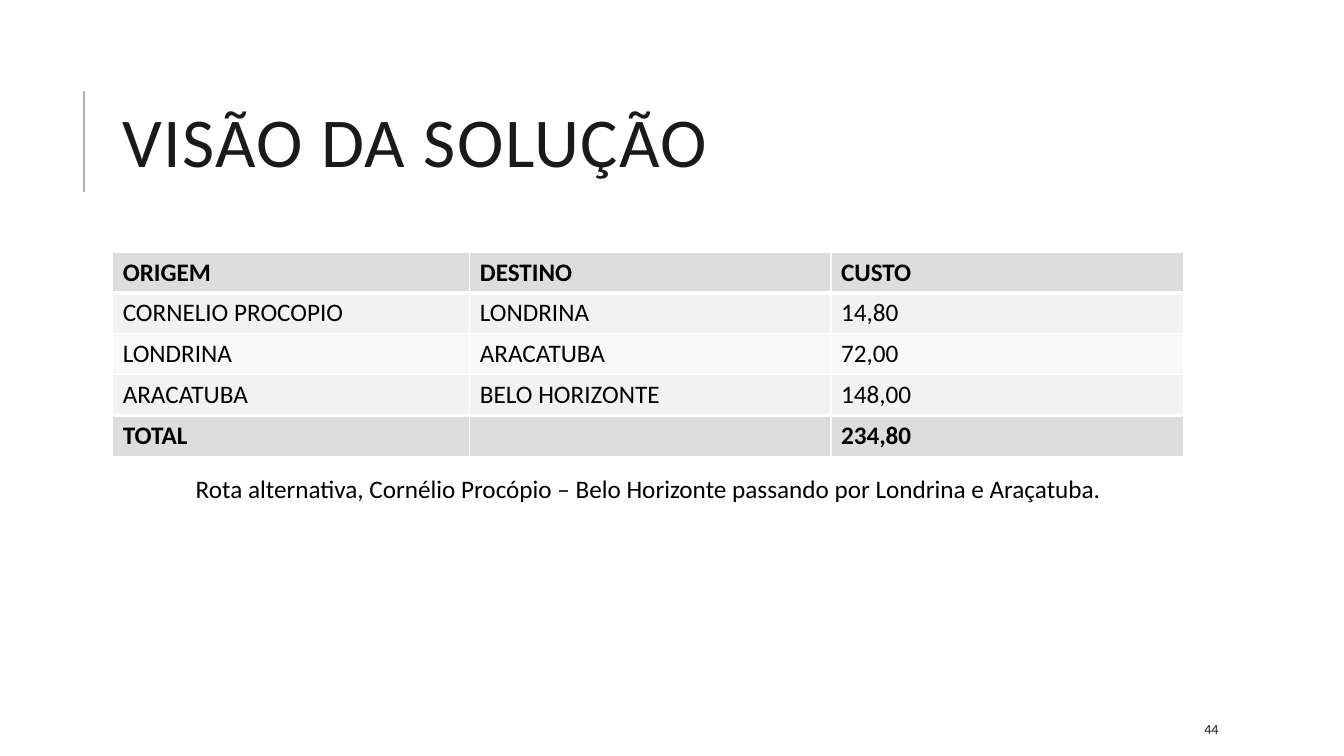
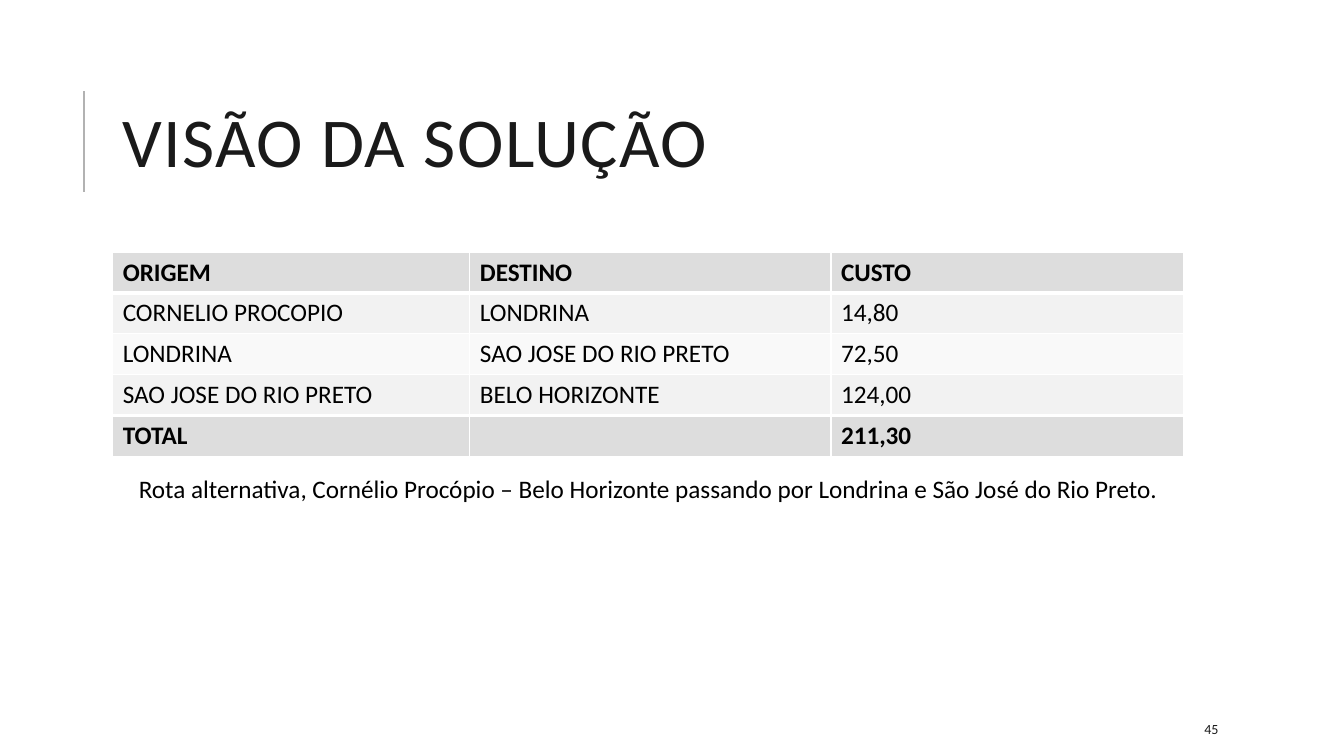
import pptx
import pptx.dml.color
import pptx.enum.shapes
import pptx.enum.text
import pptx.oxml
import pptx.oxml.ns
import pptx.util

Cm = pptx.util.Cm
Pt = pptx.util.Pt
ANCHOR = pptx.enum.text.MSO_ANCHOR
ALIGN = pptx.enum.text.PP_ALIGN

FONT = "Calibri"
BLACK, INK, RULE, WHITE = "000000", "1A1A1A", "B2B2B2", "FFFFFF"
EMPHASIS, BAND_DARK, BAND_LIGHT = "DDDDDD", "F2F2F2", "F9F9F9"

CONTENT_LEFT, CONTENT_WIDTH = 2.84, 27
COLUMN_WIDTHS = (9, 9.1, 8.9)
ROW_HEIGHT = 1.03
HEADER = ("ORIGEM", "DESTINO", "CUSTO")
FIRST_NUMBER = 44

ROUTES = [
    {
        "legs": [
            ("CORNELIO PROCOPIO", "LONDRINA", "14,80"),
            ("LONDRINA", "ARACATUBA", "72,00"),
            ("ARACATUBA", "BELO HORIZONTE", "148,00"),
        ],
        "total": "234,80",
        "stops": "Londrina e Araçatuba",
    },
    {
        "legs": [
            ("CORNELIO PROCOPIO", "LONDRINA", "14,80"),
            ("LONDRINA", "SAO JOSE DO RIO PRETO", "72,50"),
            ("SAO JOSE DO RIO PRETO", "BELO HORIZONTE", "124,00"),
        ],
        "total": "211,30",
        "stops": "Londrina e São José do Rio Preto",
    },
]


def color(value):
    return pptx.dml.color.RGBColor.from_string(value)


def write(frame, text, size=18, ink=BLACK, bold=False, align=ALIGN.LEFT,
          line_spacing=None, letter_spacing=None):
    """Put one formatted paragraph in a text frame; letter_spacing is in points."""
    paragraph = frame.paragraphs[0]
    paragraph.alignment = align
    paragraph.line_spacing = line_spacing
    run = paragraph.add_run()
    run.text = text
    run.font.name = FONT
    run.font.size = Pt(size)
    run.font.bold = bold
    run.font.color.rgb = color(ink)
    if letter_spacing:
        run.font._element.set("spc", str(letter_spacing * 100))


def add_text(slide, text, left, top, width, height, anchor=ANCHOR.TOP, **text_format):
    shape = slide.shapes.add_textbox(Cm(left), Cm(top), Cm(width), Cm(height))
    shape.text_frame.word_wrap = True
    shape.text_frame.vertical_anchor = anchor
    write(shape.text_frame, text, **text_format)


def add_title_rule(slide):
    connector = slide.shapes.add_connector(
        pptx.enum.shapes.MSO_CONNECTOR.STRAIGHT, Cm(2.11), Cm(4.83), Cm(2.11), Cm(2.29))
    connector.line.color.rgb = color(RULE)
    connector.line.width = Pt(1.5)
    connector._element.spPr.append(pptx.oxml.parse_xml(
        f"<a:effectLst {pptx.oxml.ns.nsdecls('a')}/>"))


def add_frame(slide, title, number):
    """Add the parts every slide shares: rule, title and slide number."""
    add_title_rule(slide)
    add_text(slide, title, CONTENT_LEFT, 1.63, CONTENT_WIDTH, 4.17, anchor=ANCHOR.MIDDLE,
             size=50, ink=INK, line_spacing=0.8, letter_spacing=1)
    add_text(slide, str(number), 30.1, 17.98, 2.7, 0.76, anchor=ANCHOR.MIDDLE,
             size=10, ink=INK)


def set_borders(cell, top=1, bottom=1):
    """Draw white borders; widths are in points."""
    properties = cell._tc.get_or_add_tcPr()
    for side, width in (("L", 1), ("R", 1), ("T", top), ("B", bottom)):
        properties.append(pptx.oxml.parse_xml(
            f'<a:ln{side} {pptx.oxml.ns.nsdecls("a")} w="{Pt(width)}"><a:solidFill>'
            f'<a:srgbClr val="{WHITE}"/></a:solidFill></a:ln{side}>'))


def add_cost_table(slide, legs, total):
    rows = [HEADER, *legs, ("TOTAL", "", total)]
    last = len(rows) - 1
    table = slide.shapes.add_table(
        len(rows), len(HEADER), Cm(CONTENT_LEFT), Cm(6.35),
        Cm(CONTENT_WIDTH), Cm(ROW_HEIGHT * len(rows))).table
    table.first_row = table.horz_banding = False
    for column, width in zip(table.columns, COLUMN_WIDTHS):
        column.width = Cm(width)
    for row_index, values in enumerate(rows):
        emphasized = row_index in (0, last)
        band = BAND_DARK if row_index % 2 else BAND_LIGHT
        for column_index, value in enumerate(values):
            cell = table.cell(row_index, column_index)
            set_borders(cell,
                        top=3 if row_index in (1, last) else 1,
                        bottom=3 if row_index in (0, last - 1) else 1)
            cell.fill.solid()
            cell.fill.fore_color.rgb = color(EMPHASIS if emphasized else band)
            if value:
                write(cell.text_frame, value, bold=emphasized)


def add_route_slide(presentation, number, legs, total, stops):
    slide = presentation.slides.add_slide(presentation.slide_layouts[6])
    add_frame(slide, "VISÃO DA SOLUÇÃO", number)
    add_cost_table(slide, legs, total)
    add_text(slide, f"Rota alternativa, Cornélio Procópio – Belo Horizonte passando por {stops}.",
             CONTENT_LEFT, 11.79, CONTENT_WIDTH, 1.02, align=ALIGN.CENTER)


def main():
    presentation = pptx.Presentation()
    presentation.slide_width = Cm(33.87)
    presentation.slide_height = Cm(19.05)
    for number, route in enumerate(ROUTES, start=FIRST_NUMBER):
        add_route_slide(presentation, number, **route)
    presentation.save("out.pptx")


if __name__ == "__main__":
    main()
